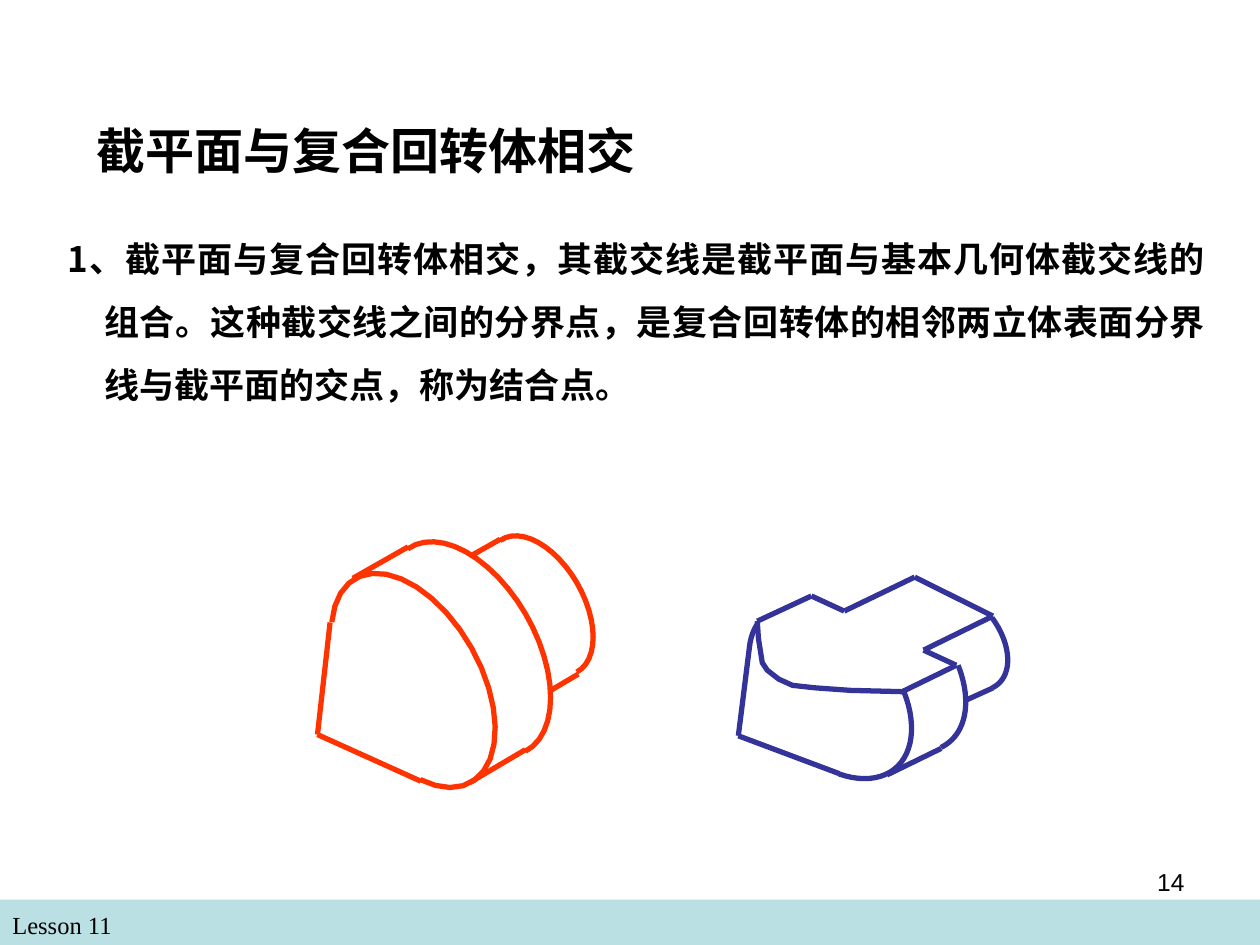
from dataclasses import dataclass
from itertools import pairwise
from math import cos, radians, sin

from lxml import etree
from pptx import Presentation
from pptx.dml.color import RGBColor
from pptx.enum.shapes import MSO_CONNECTOR, MSO_SHAPE
from pptx.enum.text import MSO_ANCHOR, MSO_AUTO_SIZE, PP_ALIGN
from pptx.oxml.ns import qn
from pptx.util import Pt

LINE = MSO_CONNECTOR.STRAIGHT
RECT = MSO_SHAPE.RECTANGLE
TOP, MID = MSO_ANCHOR.TOP, MSO_ANCHOR.MIDDLE
GROW, FIXED = MSO_AUTO_SIZE.SHAPE_TO_FIT_TEXT, MSO_AUTO_SIZE.NONE
LEFT, RIGHT, JUST = PP_ALIGN.LEFT, PP_ALIGN.RIGHT, PP_ALIGN.JUSTIFY


@dataclass
class Theme:
    ink: RGBColor = RGBColor(0, 0, 0)
    band: RGBColor = RGBColor(0xBB, 0xE0, 0xE3)
    red: RGBColor = RGBColor(0xFF, 0x33, 0x00)
    blue: RGBColor = RGBColor(0x33, 0x33, 0x99)
    sans: str = "Arial"
    serif: str = "Times New Roman"
    han: str = "Noto Sans CJK SC"
    head: int = 28
    body: int = 20
    small: int = 14
    pen: int = 3


theme = Theme()
U = 9144  # grid step: the slide is 1000 columns by 750 rows
STEPS = 24

prs = Presentation()
prs.slide_width, prs.slide_height = 1000 * U, 750 * U
slide = prs.slides.add_slide(prs.slide_layouts[6])

band = slide.shapes.add_shape(RECT, 0, 714 * U, 1000 * U, 36 * U)
band.shadow.inherit = False
band.fill.solid()
band.fill.fore_color.rgb = theme.band
band.line.fill.background()


def add_text(area, text, face, size, bold=False, align=LEFT, anchor=TOP, fit=FIXED):
    box = slide.shapes.add_textbox(*(n * U for n in area))
    frame = box.text_frame
    frame.word_wrap = True
    frame.auto_size = fit
    frame.vertical_anchor = anchor
    para = frame.paragraphs[0]
    para.alignment = align
    run = para.add_run()
    run.text = text
    font = run.font
    font.name, font.size, font.bold = face, Pt(size), bold
    font.color.rgb = theme.ink
    east = etree.SubElement(run._r.get_or_add_rPr(), qn("a:ea"))
    east.set("typeface", theme.han)
    return para


def arc(oval, x, y, size, start, end):
    """Points of a skewed oval about (x, y), between two angles in degrees."""
    wide, high, skew = oval
    turns = [start + (end - start) * i / STEPS for i in range(STEPS + 1)]
    return [(x + size * wide * cos(radians(t)),
             y + size * high * sin(radians(t + skew))) for t in turns]


add_text((0, 717, 483, 34), "Lesson 11", theme.serif, theme.small, fit=GROW)
add_text((67, 75, 850, 88), "截平面与复合回转体相交", theme.sans, theme.head,
         bold=True, anchor=MID)
body = add_text(
    (23, 167, 943, 160),
    "1、截平面与复合回转体相交，其截交线是截平面与基本几何体截交线的组合。"
    "这种截交线之间的分界点，是复合回转体的相邻两立体表面分界线与截平面的交点，"
    "称为结合点。",
    theme.han, theme.body, bold=True, align=JUST, fit=GROW)
body.line_spacing = 1.5
props = body._p.get_or_add_pPr()
props.set("marL", str(50 * U))
props.set("indent", str(-29 * U))

# Each solid: colour, oval (half width, half height, skew), arcs, straight
# chains, and free curves.
solids = [
    (theme.red, (65, 85, 27),
     [(328, 540, 1, 85, -174), (372, 515, 1, 46, -138), (428.5, 480.5, 0.65, 46, -138)],
     [[(397, 428), (374, 441)],
      [(437, 548), (459, 535)],
      [(324, 434), (280, 459)],
      [(373, 621), (417, 595)],
      [(262, 494), (252, 583), (334, 620)]],
     []),
    (theme.blue, (64.5, 69, 25),
     [(659, 549, 1, 84, -25), (659, 549, 1, -154, -173),
      (702, 528, 1, 46, -25), (760.5, 506, 0.61, 46, -47)],
     [[(601, 493), (644, 473), (670, 485), (726, 458),
       (788, 489), (733, 516), (759, 528), (716, 549)],
      [(704, 615), (747, 594)],
      [(766, 556), (788, 546)],
      [(595, 512), (586, 584), (666, 614)]],
     [[(601, 493), (602, 507), (605, 526), (609, 532), (618, 539),
       (629, 544), (647, 546), (675, 548), (716, 549)]]),
]

for hue, oval, arcs, chains, curves in solids:
    group = slide.shapes.add_group_shape()
    edges = []
    for curve in [arc(oval, *part) for part in arcs] + curves:
        dots = [(round(x * U), round(y * U)) for x, y in curve]
        pen = group.shapes.build_freeform(*dots[0])
        pen.add_line_segments(dots[1:], close=False)
        edge = pen.convert_to_shape()
        edge.shadow.inherit = False
        edge.fill.background()
        edges.append(edge)
    for chain in chains:
        for a, b in pairwise(chain):
            edge = group.shapes.add_connector(LINE, *(n * U for n in a + b))
            etree.SubElement(edge._element.spPr, qn("a:effectLst"))
            edges.append(edge)
    for edge in edges:
        edge.line.color.rgb = hue
        edge.line.width = Pt(theme.pen)

add_text((717, 683, 233, 52), "14", theme.sans, theme.small, align=RIGHT)

prs.save("out.pptx")
